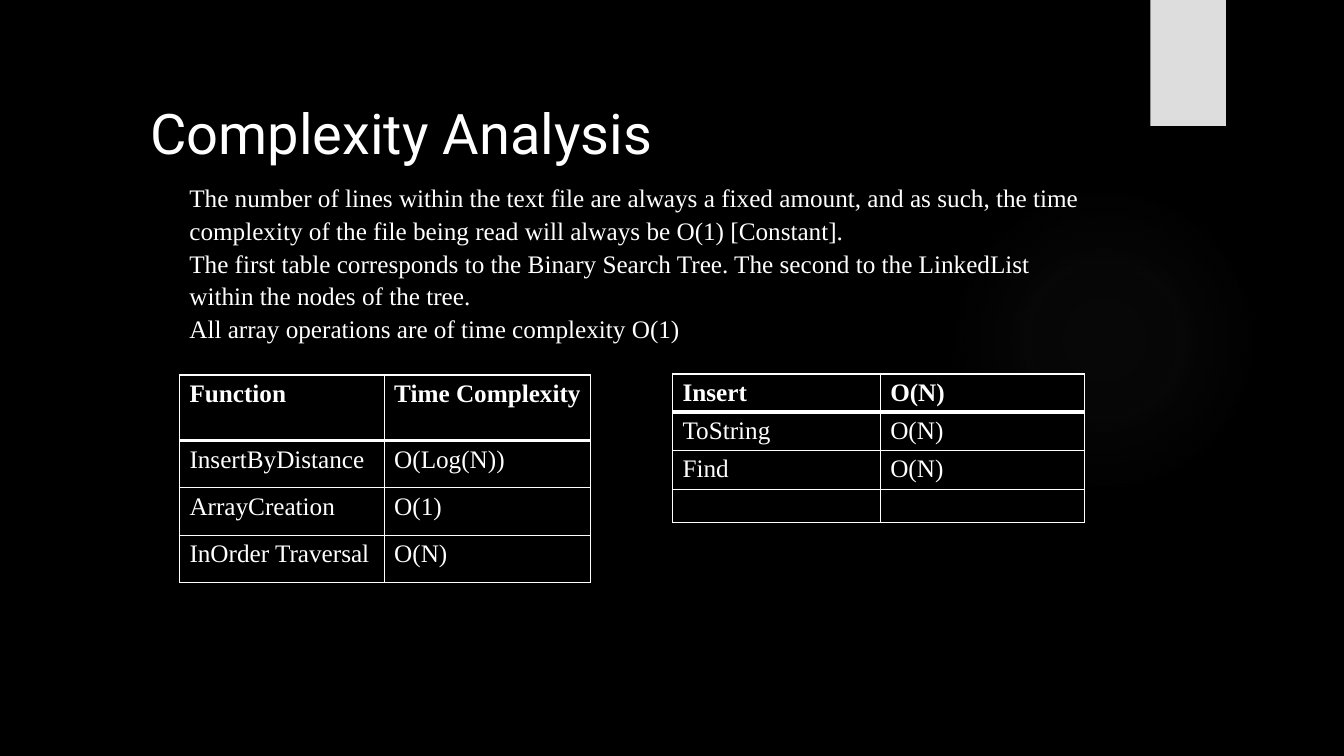
from lxml.etree import SubElement
from pptx import Presentation
from pptx.dml.color import RGBColor
from pptx.enum.shapes import MSO_SHAPE
from pptx.enum.text import MSO_ANCHOR, PP_ALIGN
from pptx.oxml import parse_xml
from pptx.oxml.ns import nsdecls, qn
from pptx.util import Inches, Pt

BLACK = RGBColor(0x00, 0x00, 0x00)
WHITE = RGBColor(0xFF, 0xFF, 0xFF)
SILVER = RGBColor(0xDD, 0xDD, 0xDD)
GREY = RGBColor(0x66, 0x66, 0x66)
SERIF = "Times New Roman"

TITLE = "Complexity Analysis"
NOTES = [
    "The number of lines within the text file are always a fixed amount, and as such, "
    "the time complexity of the file being read will always be O(1) [Constant].",
    "The first table corresponds to the Binary Search Tree. The second to the LinkedList "
    "within the nodes of the tree.",
    "All array operations are of time complexity O(1)",
]
TABLES = [
    {
        "at": (1.78, 3.72),
        "cols": (2.03, 2.05),
        "rows": (0.65, 0.47, 0.47, 0.47),
        "cells": [
            ("Function", "Time Complexity"),
            ("InsertByDistance", "O(Log(N))"),
            ("ArrayCreation", "O(1)"),
            ("InOrder Traversal", "O(N)"),
        ],
    },
    {
        "at": (6.67, 3.71),
        "cols": (2.06, 2.03),
        "rows": (0.37, 0.38, 0.39, 0.33),
        "cells": [
            ("Insert", "O(N)"),
            ("ToString", "O(N)"),
            ("Find", "O(N)"),
            ("", ""),
        ],
    },
]
GLOW = [(0, 7), (36, 6), (69, 0)]  # stop and opacity, in percent


def write(frame, lines, size=18, font=SERIF, bold=False, align=None, space=None):
    for i, line in enumerate(lines):
        para = frame.paragraphs[0] if i == 0 else frame.add_paragraph()
        para.alignment = align
        para.line_spacing = space
        run = para.add_run()
        run.text = line
        run.font.size = Pt(size)
        run.font.name = font
        run.font.bold = bold
        run.font.color.rgb = WHITE


def add_plain(slide, kind, box, color):
    shape = slide.shapes.add_shape(kind, *map(Inches, box))
    shape.shadow.inherit = False
    shape.fill.solid()
    shape.fill.fore_color.rgb = color
    shape.line.fill.background()
    return shape


def add_glow(shape):
    """Swap the solid fill for a faint radial gradient."""
    stops = "".join(
        f'<a:gs pos="{pos * 1000}"><a:srgbClr val="{GREY}">'
        f'<a:alpha val="{alpha * 1000}"/></a:srgbClr></a:gs>'
        for pos, alpha in GLOW
    )
    grad = parse_xml(
        f'<a:gradFill {nsdecls("a")}><a:gsLst>{stops}</a:gsLst><a:path path="circle">'
        '<a:fillToRect l="50000" t="50000" r="50000" b="50000"/></a:path></a:gradFill>'
    )
    props = shape.element.spPr
    props.replace(props.find(qn("a:solidFill")), grad)


def set_edges(cell, **widths):
    props = cell._tc.get_or_add_tcPr()
    for side in "LRTB":
        line = SubElement(props, qn(f"a:ln{side}"), w=str(Pt(widths.get(side, 1))))
        fill = SubElement(line, qn("a:solidFill"))
        SubElement(fill, qn("a:srgbClr"), val=str(WHITE))


def add_grid(slide, at, cols, rows, cells):
    box = map(Inches, (*at, sum(cols), sum(rows)))
    table = slide.shapes.add_table(len(rows), len(cols), *box).table
    for col, width in zip(table.columns, cols):
        col.width = Inches(width)
    for r, (row, height) in enumerate(zip(table.rows, rows)):
        row.height = Inches(height)
        for cell, text in zip(row.cells, cells[r]):
            set_edges(cell, T=3 if r == 1 else 1, B=3 if r == 0 else 1)
            cell.fill.solid()
            cell.fill.fore_color.rgb = BLACK
            if text:
                write(cell.text_frame, [text], bold=r == 0)
            else:
                para = cell.text_frame.paragraphs[0]._p
                end = SubElement(para, qn("a:endParaRPr"), sz="1400")
                SubElement(end, qn("a:latin"), typeface=SERIF)


def main():
    deck = Presentation()
    deck.slide_width, deck.slide_height = Inches(13.33), Inches(7.5)
    slide = deck.slides.add_slide(deck.slide_layouts[5])
    slide.background.fill.solid()
    slide.background.fill.fore_color.rgb = BLACK

    add_glow(add_plain(slide, MSO_SHAPE.OVAL, (9.41, 1.83, 3.08, 3.08), GREY))
    add_plain(slide, MSO_SHAPE.RECTANGLE, (11.41, 0, 0.75, 1.25), SILVER)

    title = slide.shapes.title
    title.left, title.top = Inches(-1.02), Inches(-1.48)
    title.width, title.height = Inches(10), Inches(3.17)
    title.text_frame.vertical_anchor = MSO_ANCHOR.BOTTOM
    write(title.text_frame, [TITLE], size=40, font="Roboto", align=PP_ALIGN.CENTER)

    for table in TABLES:
        add_grid(slide, **table)

    notes = slide.shapes.add_textbox(*map(Inches, (1.78, 1.74, 9.14, 1.92)))
    notes.text_frame.word_wrap = True
    write(notes.text_frame, NOTES, space=1.08)
    deck.save("out.pptx")


if __name__ == "__main__":
    main()
